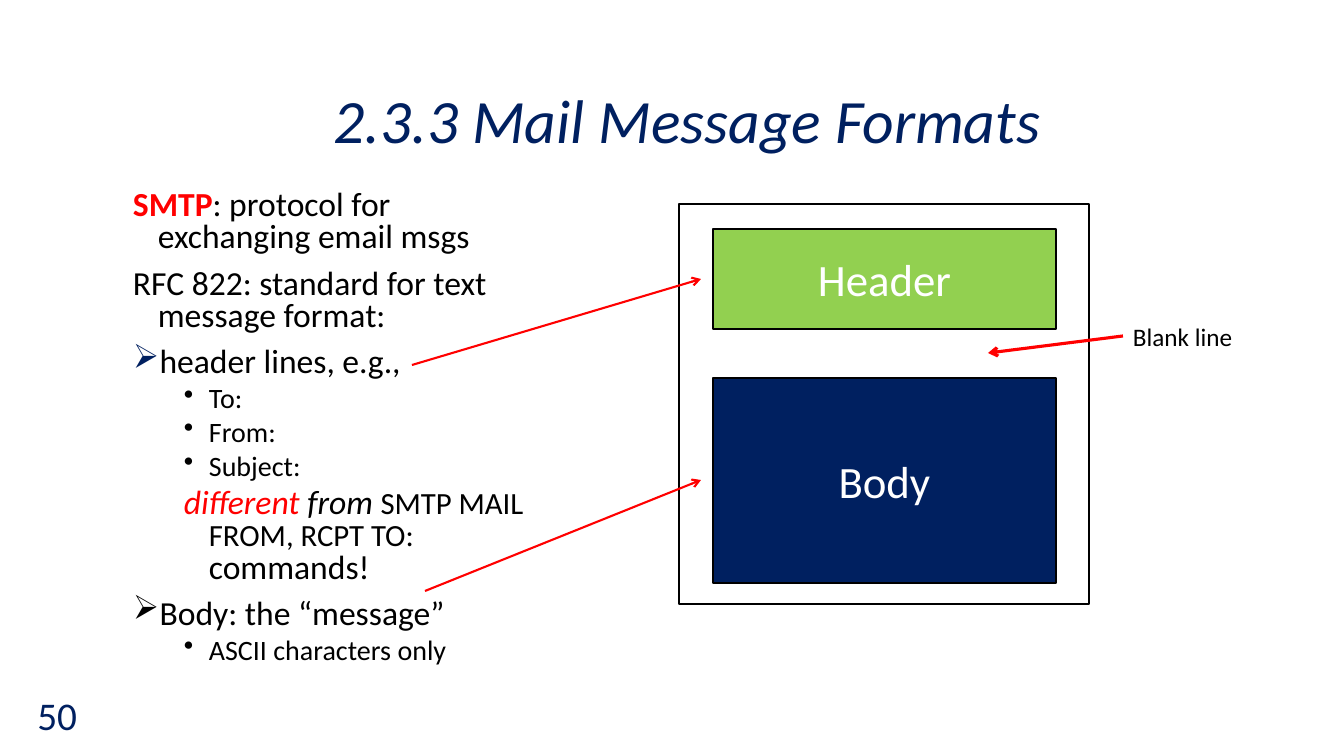
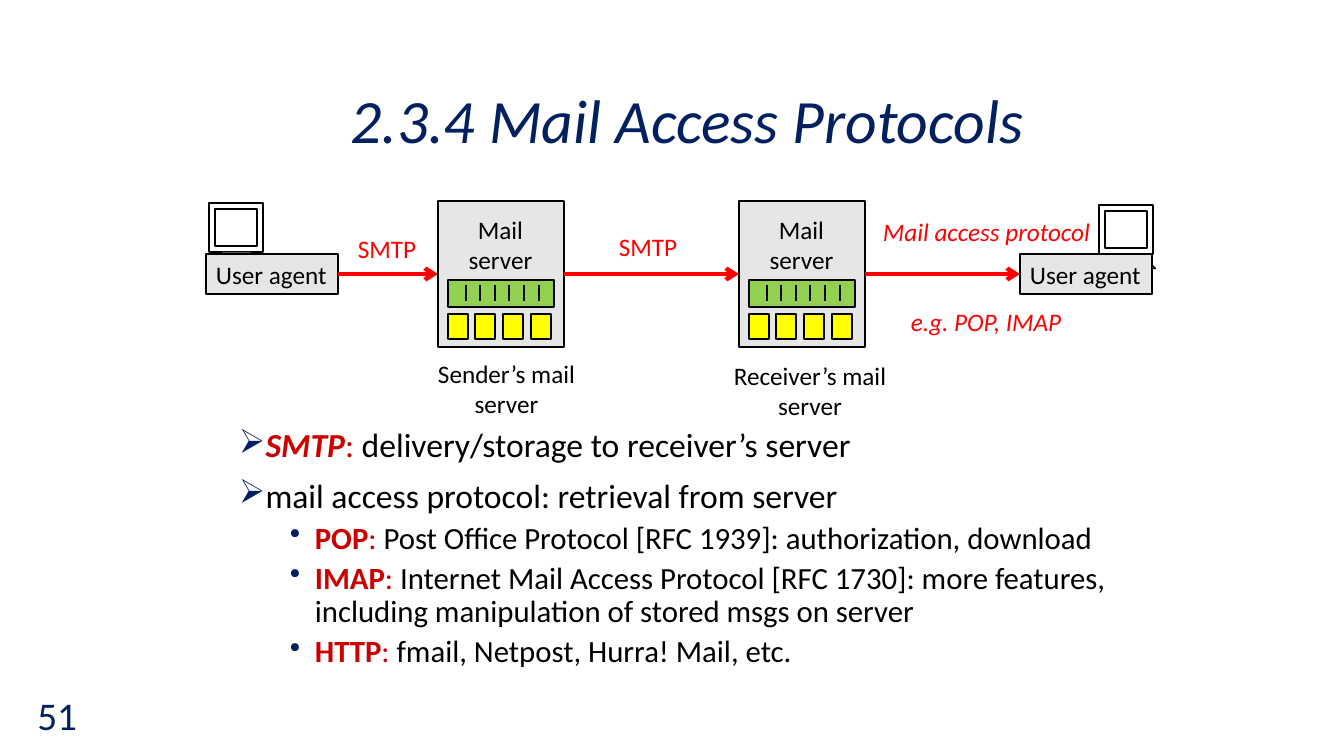
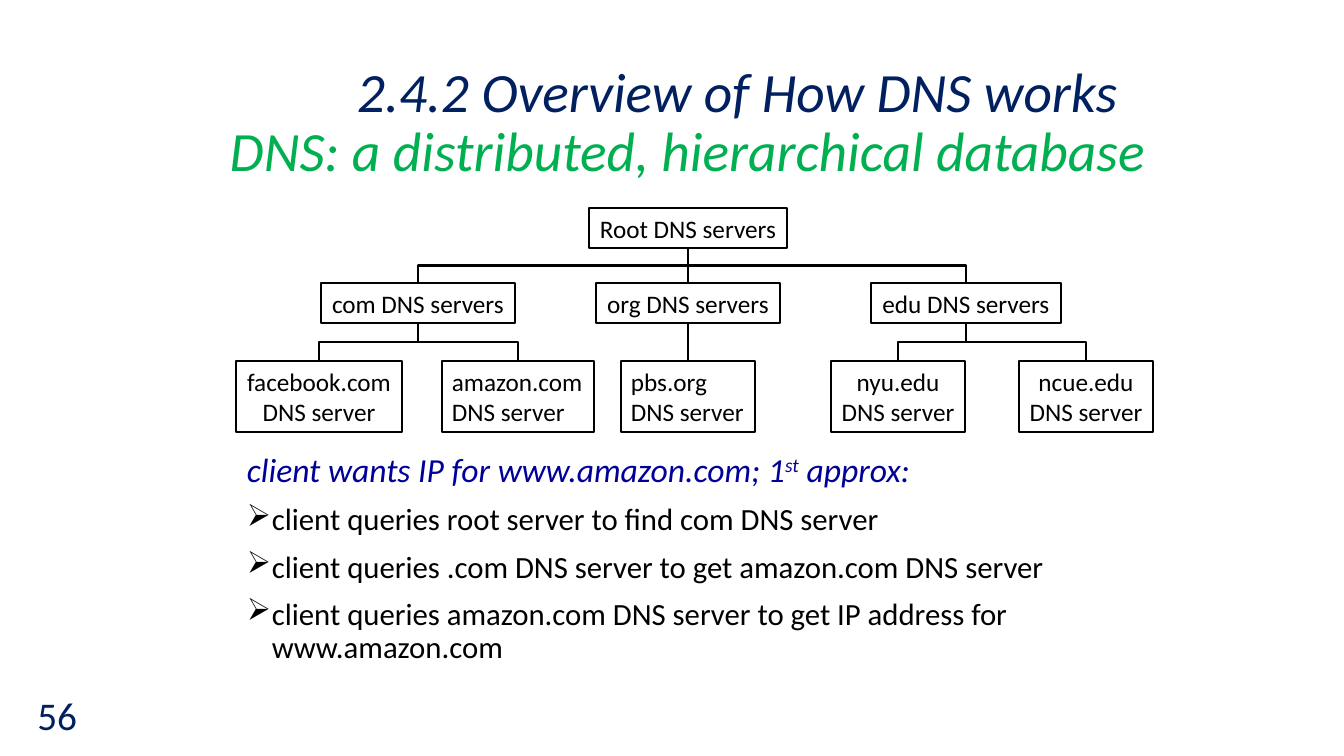
"""Build three slides on mail formats, mail access and DNS."""

from dataclasses import dataclass

from lxml.etree import SubElement as Sub
from pptx import Presentation
from pptx.dml.color import RGBColor as Rgb
from pptx.enum.shapes import MSO_CONNECTOR as Wire, MSO_SHAPE as Form
from pptx.enum.text import MSO_ANCHOR as Anchor, MSO_AUTO_SIZE as Auto, PP_ALIGN as Align
from pptx.oxml.ns import qn
from pptx.shapes.autoshape import Shape
from pptx.shapes.connector import Connector
from pptx.slide import Slide
from pptx.util import Emu, Pt

Rect = tuple[int, int, int, int]
TOP, LEFT, BOTTOM, RIGHT = range(4)


@dataclass(frozen=True)
class Theme:
    """Hold the font, colours and type sizes."""

    font: str = "Calibri"
    navy: str = "002060"
    black: str = "000000"
    white: str = "FFFFFF"
    red: str = "FF0000"
    brick: str = "CC0000"
    lime: str = "92D050"
    green: str = "00B050"
    blue: str = "000099"
    gray: str = "E7E6E6"
    yellow: str = "FFFF00"
    title: float = 44
    pair: float = 39.6
    block: float = 32
    page: float = 28
    body: float = 24
    sub: float = 22
    item: float = 20
    label: float = 18


T = Theme()


@dataclass(frozen=True)
class Bit:
    """Describe one run of text."""

    text: str
    size: float = T.body
    ink: str = T.black
    bold: bool = False
    ital: bool = False
    base: int = 0


@dataclass(frozen=True)
class Para:
    """Describe one paragraph."""

    bits: tuple[Bit, ...]
    align: Align = Align.LEFT
    left: int = 0
    hang: int = 0
    lead: float = 1.0
    gap: int = 0
    mark: str = ""
    dye: str = ""
    level: int = 0


@dataclass(frozen=True)
class Node:
    """Describe one box of the server tree."""

    key: str
    text: str
    mid: int
    wide: int
    over: str = ""
    align: Align = Align.CENTER


def px(count: float) -> Emu:
    """Turn px into EMU."""
    return Emu(round(count * 914400 / 100.8))


def point(*bits: Bit, lead: float = 0.9, mark: str = "", dye: str = "") -> Para:
    """Make a first-level paragraph."""
    return Para(bits, left=25, hang=25, lead=lead, gap=10, mark=mark, dye=dye)


def minor(*bits: Bit, lead: float = 0.9, mark: str = "•", dye: str = "") -> Para:
    """Make a second-level paragraph."""
    return Para(bits, left=76, hang=25, lead=lead, gap=5, mark=mark, dye=dye, level=1)


def plain(text: str, size: float = T.label, ink: str = T.black,
          ital: bool = False, align: Align = Align.LEFT) -> list[Para]:
    """Make one evenly styled paragraph for each line."""
    return [Para((Bit(row, size, ink, ital=ital),), align) for row in text.split("\n")]


def write(shape: Shape, paras: list[Para], anchor: Anchor = Anchor.TOP,
          grow: bool = False) -> None:
    """Put paragraphs into a shape."""
    frame = shape.text_frame
    frame.word_wrap = not grow
    frame.auto_size = Auto.SHAPE_TO_FIT_TEXT if grow else Auto.NONE
    frame.vertical_anchor = anchor
    frame.text = "\n".join(para.bits[0].text for para in paras)
    for index, (line, para) in enumerate(zip(frame.paragraphs, paras)):
        line.alignment, line.level = para.align, para.level
        line.line_spacing = para.lead
        if index and para.gap:
            line.space_before = Pt(para.gap)
        props = line._p.get_or_add_pPr()
        if para.left:
            props.set("marL", str(px(para.left)))
            props.set("indent", str(px(-para.hang)))
        if para.dye:
            Sub(Sub(props, qn("a:buClr")), qn("a:srgbClr"), val=para.dye)
        if para.mark:
            Sub(props, qn("a:buChar"), char=para.mark)
        for bit in para.bits[1:]:
            line.add_run().text = bit.text
        for run, bit in zip(line.runs, para.bits):
            font = run.font
            font.name, font.size = T.font, Pt(bit.size)
            font.bold, font.italic = bit.bold, bit.ital
            font.color.rgb = Rgb.from_string(bit.ink)
            if bit.base:
                run._r.get_or_add_rPr().set("baseline", str(bit.base * 1000))


def text(page: Slide, area: Rect, paras: list[Para], anchor: Anchor = Anchor.TOP,
         grow: bool = False) -> Shape:
    """Add a text box."""
    shape = page.shapes.add_textbox(*map(px, area))
    write(shape, paras, anchor, grow)
    return shape


def label(page: Slide, area: Rect, words: str, ink: str = T.black,
          ital: bool = False, align: Align = Align.LEFT) -> Shape:
    """Add a label that fits its words."""
    return text(page, area, plain(words, ink=ink, ital=ital, align=align), grow=True)


def box(page: Slide, area: Rect, fill: str, form: Form = Form.RECTANGLE) -> Shape:
    """Add an outlined shape."""
    shape = page.shapes.add_shape(form, *map(px, area))
    shape.shadow.inherit = False
    shape.fill.solid()
    shape.fill.fore_color.rgb = Rgb.from_string(fill)
    shape.line.color.rgb = Rgb.from_string(T.black)
    shape.line.width = Pt(1)
    return shape


def line(page: Slide, ends: Rect, ink: str, width: float, head: bool = False,
         kind: Wire = Wire.STRAIGHT) -> Connector:
    """Add a line or arrow between two points."""
    wire = page.shapes.add_connector(kind, *map(px, ends))
    wire.line.color.rgb = Rgb.from_string(ink)
    wire.line.width = Pt(width)
    if head:
        Sub(wire.line._get_or_add_ln(), qn("a:tailEnd"), type="arrow")
    Sub(wire._element.spPr, qn("a:effectLst"))
    return wire


def link(page: Slide, start: tuple[Shape, int], end: tuple[Shape, int], ink: str,
         width: float, head: bool = False, kind: Wire = Wire.STRAIGHT) -> Connector:
    """Join the sides of two shapes."""
    wire = line(page, (0, 0, 0, 0), ink, width, head, kind)
    wire.begin_connect(*start)
    wire.end_connect(*end)
    return wire


def branch(page: Slide, above: Shape, below: Shape) -> None:
    """Join a box to one below it, with a bend when needed."""
    away = below.left + below.width // 2 - above.left - above.width // 2
    bent = abs(away) > px(1)
    kind = Wire.ELBOW if bent else Wire.STRAIGHT
    wire = link(page, (above, BOTTOM), (below, TOP), T.black, 1.5, kind=kind)
    if bent:
        mid_x, mid_y = (wire.begin_x + wire.end_x) // 2, (wire.begin_y + wire.end_y) // 2
        wire.width, wire.height = wire.height, wire.width
        wire.left, wire.top = mid_x - wire.width // 2, mid_y - wire.height // 2
        form = wire._element.spPr.xfrm
        form.set("rot", str((270 if away > 0 else 90) * 60000))
        form.set("flipH", str(int(away > 0)))


def start(deck: Presentation, number: int, title: list[Para]) -> Slide:
    """Add a slide with its title and number."""
    page = deck.slides.add_slide(deck.slide_layouts[6])
    text(page, (110, 62, 1155, 124), title, Anchor.MIDDLE)
    text(page, (0, 674, 87, 82), plain(str(number), T.page, T.navy, align=Align.RIGHT),
         Anchor.MIDDLE)
    return page


def head(words: str, size: float = T.title, ink: str = T.navy, left: int = 0) -> Para:
    """Make a title line."""
    return Para((Bit(words, size, ink, ital=True),), Align.CENTER, left=left, lead=0.9)


def agent(page: Slide, left: int, screen: tuple[int, int]) -> Shape:
    """Draw a user agent with its computer."""
    x, y = screen
    box(page, (x, y, 54, 49), T.white, Form.FRAME)
    box(page, (x + 7, y + 43, 41, 41), T.white, Form.DIAGONAL_STRIPE).rotation = 45
    shape = box(page, (left, 254, 132, 40), T.gray)
    write(shape, plain("User agent"), grow=True)
    return shape


def server(page: Slide, left: int) -> Shape:
    """Draw a mail server with its queue and mailboxes."""
    shape = box(page, (left, 201, 126, 146), T.gray)
    label(page, (left + 20, 209, 85, 71), "Mail\nserver", align=Align.CENTER)
    box(page, (left + 10, 280, 106, 27), T.lime)
    for step in range(6):
        x = left + 28 + 73 * step // 5
        line(page, (x, 285, x, 301), T.black, 1)
    for step in range(4):
        box(page, (left + 10 + 83 * step // 3, 314, 20, 25), T.yellow)
    return shape


def formats(deck: Presentation) -> None:
    """Build the message format slide."""
    page = start(deck, 50, [head("2.3.3 Mail Message Formats")])
    fields = [minor(Bit(name, T.item), lead=0.8) for name in ("To:", "From:", "Subject:")]
    text(page, (123, 186, 420, 512), [
        point(Bit("SMTP", ink=T.red, bold=True),
              Bit(": protocol for exchanging email msgs"), lead=0.8),
        point(Bit("RFC 822: standard for text message format:"), lead=0.8),
        point(Bit("header lines, e.g.,"), lead=0.8, mark="➢", dye=T.navy),
        *fields,
        minor(Bit("different ", ink=T.red, ital=True), Bit("from ", ital=True),
              Bit("SMTP MAIL FROM, RCPT TO:", T.sub), Bit(" commands!"), lead=0.8, mark=""),
        point(Bit("Body: the “message”"), lead=0.8, mark="➢"),
        minor(Bit("ASCII characters only", T.item), lead=0.8),
    ])
    box(page, (679, 204, 410, 400), T.white)
    for words, top, high, fill in (("Header", 229, 100, T.lime), ("Body", 378, 205, T.navy)):
        write(box(page, (713, top, 343, high), fill),
              plain(words, T.block, T.white, align=Align.CENTER), Anchor.MIDDLE)
    blank = label(page, (1123, 316, 121, 40), "Blank line")
    line(page, (1123, 336, 988, 353), T.red, 2.25, True).begin_connect(blank, LEFT)
    for ends in ((412, 365, 701, 279), (425, 591, 701, 480)):
        line(page, ends, T.red, 1.5, True)


def access(deck: Presentation) -> None:
    """Build the mail access slide."""
    page = start(deck, 51, [head("2.3.4 Mail Access Protocols")])
    stops = [agent(page, 206, (209, 203)), server(page, 438),
             server(page, 739), agent(page, 1020, (1099, 205))]
    for near, far in zip(stops, stops[1:]):
        link(page, (near, RIGHT), (far, LEFT), T.red, 3, True)
    for area, words, ital in (
        ((348, 228, 80, 40), "SMTP", False),
        ((609, 226, 80, 40), "SMTP", False),
        ((873, 211, 230, 40), "Mail access protocol", True),
        ((901, 301, 172, 40), "e.g. POP, IMAP", True),
    ):
        label(page, area, words, T.red, ital)
    label(page, (427, 353, 159, 71), "Sender’s mail\nserver", align=Align.CENTER)
    label(page, (723, 355, 174, 71), "Receiver’s mail\nserver", align=Align.CENTER)
    ways = [
        minor(Bit(name, T.sub, T.brick, True), Bit(":", T.sub, T.brick),
              Bit(words, T.sub), dye=T.navy)
        for name, words in (
            ("POP", " Post Office Protocol [RFC 1939]: authorization, download"),
            ("IMAP", " Internet Mail Access Protocol [RFC 1730]: more features, "
                     "including manipulation of stored msgs on server"),
            ("HTTP", " fmail, Netpost, Hurra! Mail, etc."),
        )
    ]
    text(page, (229, 424, 919, 264), [
        point(Bit("SMTP", ink=T.brick, bold=True, ital=True), Bit(":", ink=T.brick),
              Bit(" delivery/storage to receiver’s server"), mark="➢", dye=T.navy),
        point(Bit("mail access protocol: retrieval from server"), mark="➢", dye=T.navy),
        *ways,
    ])


def names(deck: Presentation) -> None:
    """Build the DNS tree slide."""
    page = start(deck, 56, [
        head("2.4.2 Overview of How DNS works", T.pair, left=100),
        head("DNS: a distributed, hierarchical database", T.pair, T.green),
    ])
    tiers = (
        (208, 40, (Node("root", "Root DNS servers", 688, 198),)),
        (283, 40, (
            Node("com", "com DNS servers", 418, 194, "root"),
            Node("org", "org DNS servers", 688, 184, "root"),
            Node("edu", "edu DNS servers", 966, 190, "root"),
        )),
        (361, 71, (
            Node("face", "facebook.com\nDNS server", 319, 166, "com"),
            Node("shop", "amazon.com\nDNS server", 518, 152, "com", Align.LEFT),
            Node("pbs", "pbs.org\nDNS server", 688, 134, "org", Align.LEFT),
            Node("nyu", "nyu.edu\nDNS server", 898, 134, "edu"),
            Node("ncue", "ncue.edu\nDNS server", 1086, 134, "edu"),
        )),
    )
    made: dict[str, Shape] = {}
    for top, high, nodes in tiers:
        for node in nodes:
            shape = box(page, (node.mid - node.wide // 2, top, node.wide, high), T.white)
            write(shape, plain(node.text, align=node.align), grow=True)
            made[node.key] = shape
            if node.over:
                branch(page, made[node.over], shape)
    steps = [point(Bit(words, T.sub), mark="➢") for words in (
        "client queries root server to find com DNS server",
        "client queries .com DNS server to get amazon.com DNS server",
        "client queries amazon.com DNS server to get IP address for www.amazon.com",
    )]
    text(page, (237, 449, 901, 235), [
        point(Bit("client wants IP for www.amazon.com; 1", ink=T.blue, ital=True),
              Bit("st", ink=T.blue, ital=True, base=30),
              Bit(" approx:", ink=T.blue, ital=True)),
        *steps,
    ])


def main() -> None:
    """Build and save the deck."""
    deck = Presentation()
    deck.slide_width, deck.slide_height = px(1344), px(756)
    for build in (formats, access, names):
        build(deck)
    deck.save("out.pptx")


if __name__ == "__main__":
    main()
